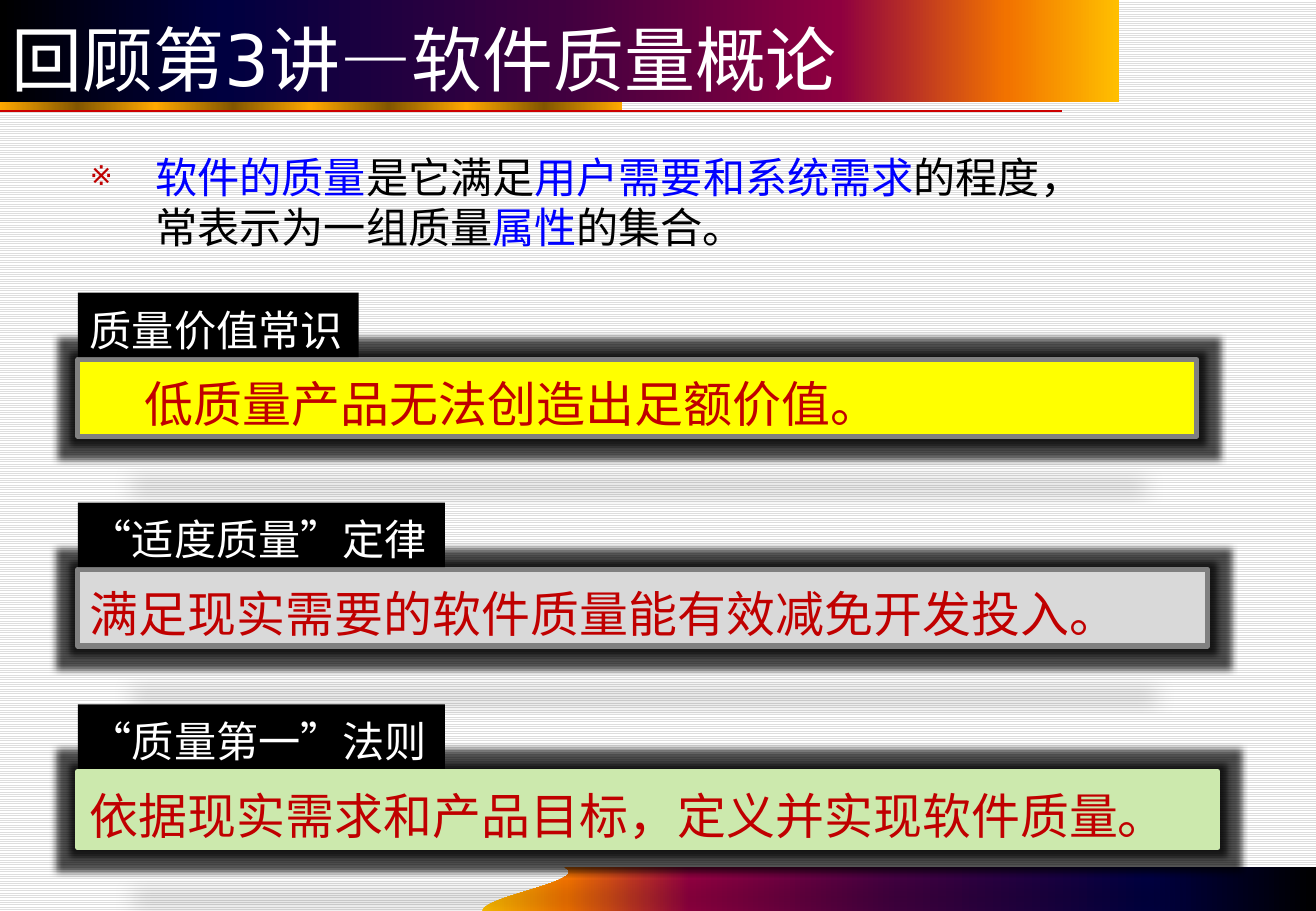
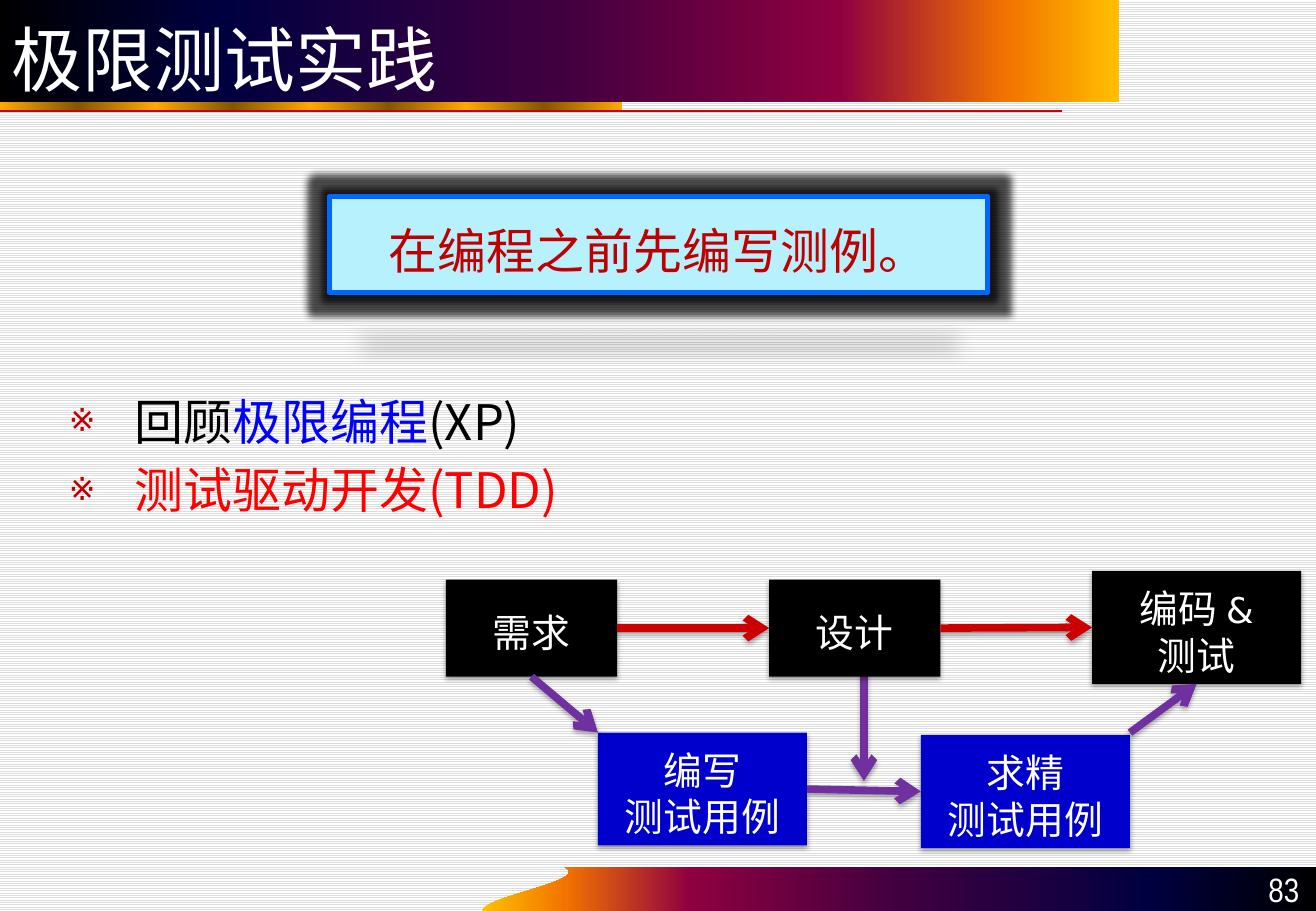
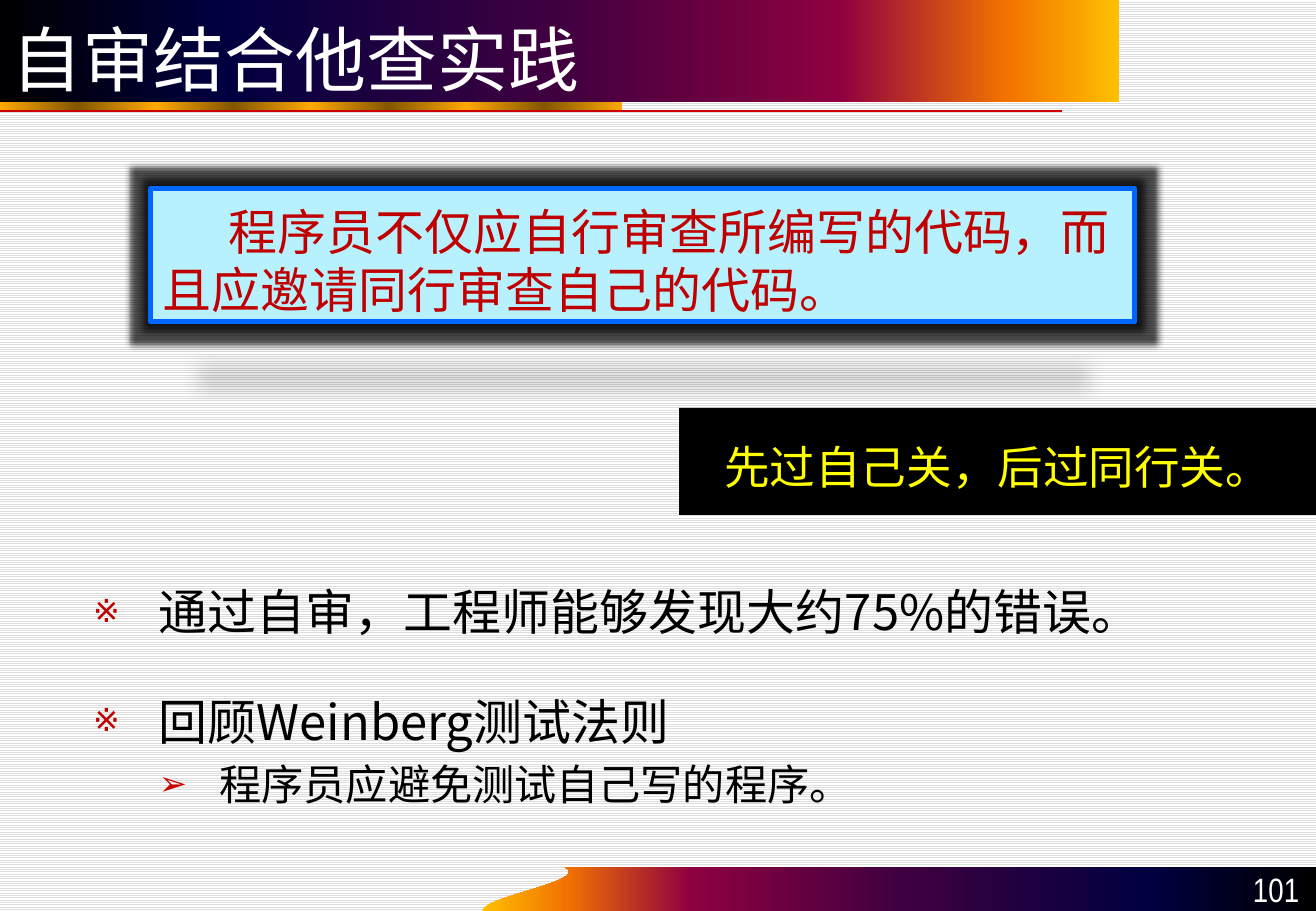
"""Build three lecture slides on software quality and testing practice."""
from pptx import Presentation
from pptx import util as u
from pptx.dml.color import RGBColor
from pptx.enum import dml, lang, shapes, text
from pptx.oxml import parse_xml
from pptx.oxml.ns import nsdecls, qn

Cm, Pt = u.Cm, u.Pt
COLOURS = {
    "black": "000000", "white": "FFFFFF", "blue": "0000FF", "red": "FF0000",
    "dark red": "C00000", "signal red": "CC0000", "yellow": "FFFF00",
    "grey": "808080", "light grey": "D9D9D9", "stripe": "DDDDDD",
    "green": "CCE9AD", "sky": "B8F1FE", "azure": "0067FE",
    "navy": "0000CC", "purple": "7030A0",
    "night": "000040", "plum": "400040", "wine": "8F0040",
    "orange": "F27300", "amber": "FFBF00", "gold": "FFA800", "bronze": "825600",
}
RGB = {name: RGBColor.from_string(value) for name, value in COLOURS.items()}
CJK, SANS, NARROW = "Noto Sans CJK SC", "DejaVu Sans", "Arial Narrow"
SUNSET = [(0, "black"), (20, "night"), (50, "plum"), (75, "wine"), (90, "orange"), (100, "amber")]
MIRRORED = [(100 - position, colour) for position, colour in reversed(SUNSET)]
GILT = [(12.5 * i, ("gold", "bronze")[i % 2]) for i in range(9)]
RAISED = (
    '<a:glow rad="101600"><a:srgbClr val="000000"><a:alpha val="70000"/></a:srgbClr></a:glow>'
    '<a:outerShdw blurRad="152400" dist="317500" dir="5400000" sx="90000" sy="-19000" rotWithShape="0">'
    '<a:srgbClr val="000000"><a:alpha val="15000"/></a:srgbClr></a:outerShdw>'
)
SOFT = (
    '<a:outerShdw blurRad="39400" dist="22900" dir="5400000" rotWithShape="0">'
    '<a:srgbClr val="000000"><a:alpha val="35000"/></a:srgbClr></a:outerShdw>'
)
RECT = shapes.MSO_SHAPE.RECTANGLE
STRAIGHT = shapes.MSO_CONNECTOR.STRAIGHT
MIDDLE, TOP, BOTTOM = text.MSO_ANCHOR.MIDDLE, text.MSO_ANCHOR.TOP, text.MSO_ANCHOR.BOTTOM
LEFT, CENTER, RIGHT = text.PP_ALIGN.LEFT, text.PP_ALIGN.CENTER, text.PP_ALIGN.RIGHT


def style(shape, fill=None, line=None, width=3, effects=""):
    if fill:
        shape.fill.solid()
        shape.fill.fore_color.rgb = RGB[fill]
    if line:
        shape.line.color.rgb = RGB[line]
        shape.line.width = Pt(width)
    else:
        shape.line.fill.background()
    shape.element.spPr.append(parse_xml(f"<a:effectLst {nsdecls('a')}>{effects}</a:effectLst>"))


def write(shape, runs, size, font=SANS, align=LEFT, anchor=MIDDLE, bullet=None,
          margin=0, indent=0, before=0):
    frame = shape.text_frame
    paragraph = frame.paragraphs[0]
    if paragraph.runs:
        paragraph = frame.add_paragraph()
        paragraph.space_before = Pt(before)
    else:
        frame.word_wrap = True
        frame.vertical_anchor = anchor
        frame.margin_top = Pt(3.6 + size * {MIDDLE: 0.2, TOP: 0.13, BOTTOM: 0}[anchor])
    properties = paragraph._p.get_or_add_pPr()
    properties.set("marL", str(Cm(margin)))
    properties.set("indent", str(Cm(indent)))
    paragraph.alignment = align
    paragraph.line_spacing = Pt(size * 1.2)
    if bullet:
        mark, colour, percent = bullet
        for xml in (f'<a:buClr {nsdecls("a")}><a:srgbClr val="{COLOURS[colour]}"/></a:buClr>',
                    f'<a:buSzPct {nsdecls("a")} val="{percent * 1000}"/>',
                    f'<a:buFont {nsdecls("a")} typeface="{SANS}"/>',
                    f'<a:buChar {nsdecls("a")} char="{mark}"/>'):
            properties.append(parse_xml(xml))
    for words, colour, *own in runs:
        run_size, run_font = own or (size, font)
        for i, line in enumerate(words.split("\n")):
            if i:
                paragraph.add_line_break()
            if line:
                run = paragraph.add_run()
                run.text = line
                run.font.size = Pt(run_size)
                run.font.name = run_font
                run.font.color.rgb = RGB[colour]
                run.font.language_id = lang.MSO_LANGUAGE_ID.SIMPLIFIED_CHINESE
                run._r.rPr.find(qn("a:latin")).addnext(
                    parse_xml(f'<a:ea {nsdecls("a")} typeface="{CJK}"/>'))


deck = Presentation()
deck.slide_width, deck.slide_height = Cm(27.51), Cm(19.05)
layout = deck.slide_layouts[6]
for placeholder in list(layout.placeholders):
    placeholder.element.getparent().remove(placeholder.element)
backdrop = layout.background.fill
backdrop.patterned()
backdrop.pattern = dml.MSO_PATTERN.LIGHT_HORIZONTAL
backdrop.fore_color.rgb = RGB["stripe"]
backdrop.back_color.rgb = RGB["white"]

pages = []
for heading, number in (("回顾第3讲—软件质量概论", None), ("极限测试实践", "83"), ("自审结合他查实践", "101")):
    page = deck.slides.add_slide(layout)
    pages.append(page)
    title = page.shapes.add_shape(RECT, 0, 0, Cm(23.39), Cm(2.13))
    write(title, [(heading, "white")], 42)
    banded = [(title, SUNSET)]
    if len(pages) == 1:
        wave = []
        for step in range(25):
            t = step / 24
            weights = ((1 - t) ** 3, 3 * t * (1 - t) ** 2, 3 * t * t * (1 - t), t ** 3)
            wave.append((Cm(sum(w * x for w, x in zip(weights, (10.08, 10.08, 12.37, 11.81)))),
                         Cm(sum(w * y for w, y in zip(weights, (19.05, 18.75, 18.42, 18.14))))))
        outline = page.shapes.build_freeform(Cm(27.51), Cm(18.14))
        outline.add_line_segments([(Cm(27.51), Cm(19.05))] + wave)
        footer = outline.convert_to_shape()
        strip = page.shapes.add_shape(RECT, 0, Cm(1.93), Cm(13), Cm(0.38))
        rule = page.shapes.add_connector(STRAIGHT, 0, Cm(2.32), Cm(22.2), Cm(2.32))
        style(rule, line="signal red", width=0.75)
        banded += [(footer, MIRRORED), (strip, GILT)]
    for band, stops in banded:
        band.fill.gradient()
        band.fill.gradient_angle = 0
        stop_list = band.element.spPr.find(".//" + qn("a:gsLst"))
        for stop in list(stop_list):
            stop_list.remove(stop)
        for position, colour in stops:
            stop_list.append(parse_xml(
                f'<a:gs {nsdecls("a")} pos="{int(position * 1000)}">'
                f'<a:srgbClr val="{COLOURS[colour]}"/></a:gs>'))
        style(band)
    if len(pages) == 1:
        for shared in (footer, strip, rule):
            layout.shapes.element.append(shared.element)
    if number:
        page_number = page.shapes.add_textbox(Cm(24.97), Cm(18.11), Cm(2.44), Cm(1.02))
        write(page_number, [(number, "white")], 20, NARROW, RIGHT, BOTTOM)

review, extreme, inspection = pages
POINT = {"font": CJK, "anchor": TOP, "bullet": ("※", "dark red", 65), "margin": 1.37, "indent": -1.37}

definition = review.shapes.add_textbox(Cm(1.63), Cm(2.92), Cm(24.08), Cm(2.21))
write(definition, [("软件的质量", "blue"), ("是它满足", "black"), ("用户需要和系统需求", "blue"),
                   ("的程度，\n常表示为一组质量", "black"), ("属性", "blue"), ("的集合。", "black")],
      25, **POINT)

for top, label_width, label, width, fill, edge, indent, statement in (
    (7.52, 5.87, "质量价值常识", 23.39, "yellow", "grey", 1.15, "低质量产品无法创造出足额价值。"),
    (11.91, 7.67, "“适度质量”定律", 23.62, "light grey", "grey", 0, "满足现实需要的软件质量能有效减免开发投入。"),
    (16.13, 7.67, "“质量第一”法则", 23.83, "green", "green", 0, "依据现实需求和产品目标，定义并实现软件质量。"),
):
    law = review.shapes.add_shape(RECT, Cm(1.63), Cm(top), Cm(width), Cm(1.6))
    style(law, fill, edge, effects=RAISED)
    write(law, [(statement, "dark red")], 29, indent=indent)
    law_name = review.shapes.add_shape(RECT, Cm(1.63), Cm(top - 1.4), Cm(label_width), Cm(1.35))
    style(law_name, "black")
    write(law_name, [(label, "white")], 25)

for page, left, top, width, height, align, indent, statement in (
    (extreme, 6.88, 4.11, 13.77, 2.01, CENTER, 0, "在编程之前先编写测例。"),
    (inspection, 3.15, 3.94, 20.57, 2.79, LEFT, 1.38, "程序员不仅应自行审查所编写的代码，而且应邀请同行审查自己的代码。"),
):
    practice = page.shapes.add_shape(RECT, Cm(left), Cm(top), Cm(width), Cm(height))
    style(practice, "sky", "azure", effects=RAISED)
    write(practice, [(statement, "dark red")], 29, align=align, indent=indent)

topics = extreme.shapes.add_textbox(Cm(1.19), Cm(7.92), Cm(12.7), Cm(3.2))
write(topics, [("回顾", "black"), ("极限编程", "blue"), ("(XP)", "black")], 29, **POINT)
write(topics, [("测试驱动开发(TDD)", "red")], 29, before=6, **POINT)

design_to_cases = extreme.shapes.add_connector(STRAIGHT, Cm(18.06), Cm(13.64), Cm(18.06), Cm(16.33))
steps = {}
for step, left, top, width, height, fill, runs in (
    ("requirements", 9.32, 12.12, 3.58, 2.03, "black", [("需求", "white")]),
    ("design", 16.08, 12.12, 3.58, 2.03, "black", [("设计", "white")]),
    ("coding", 22.83, 11.94, 4.37, 2.36, "black",
     [("编码 ", "white"), ("&\n", "white", 21, SANS), ("测试", "white")]),
    ("write cases", 12.5, 15.32, 4.37, 2.36, "navy", [("编写\n测试用例", "white")]),
    ("refine cases", 19.25, 15.37, 4.37, 2.36, "navy", [("求精\n测试用例", "white")]),
):
    steps[step] = extreme.shapes.add_shape(RECT, Cm(left), Cm(top), Cm(width), Cm(height))
    style(steps[step], fill, effects=SOFT)
    write(steps[step], runs, 23, CJK, CENTER)

arrows = [(design_to_cases, "purple")]
for source, source_side, target, target_side, colour in (
    ("requirements", 3, "design", 1, "signal red"),
    ("design", 3, "coding", 1, "signal red"),
    ("write cases", 3, "refine cases", 1, "purple"),
    ("requirements", 2, (12.5, 15.32), None, "purple"),
    ((23.62, 15.32), None, "coding", 2, "purple"),
):
    start = (0, 0) if source in steps else source
    end = (0, 0) if target in steps else target
    arrow = extreme.shapes.add_connector(STRAIGHT, *map(Cm, start + end))
    if source in steps:
        arrow.begin_connect(steps[source], source_side)
    if target in steps:
        arrow.end_connect(steps[target], target_side)
    arrows.append((arrow, colour))
for arrow, colour in arrows:
    style(arrow, line=colour, width=4.5, effects=SOFT)
    arrow.line._get_or_add_ln().append(parse_xml(f'<a:tailEnd {nsdecls("a")} type="arrow"/>'))

motto = inspection.shapes.add_shape(RECT, Cm(14.2), Cm(8.53), Cm(13.31), Cm(2.24))
style(motto, "black")
write(motto, [("先过自己关，后过同行关。", "yellow")], 27, align=CENTER)

findings = inspection.shapes.add_textbox(Cm(1.7), Cm(11.91), Cm(24.08), Cm(5.79))
write(findings, [("通过自审，工程师能够发现大约75%的错误。", "black")], 29, **POINT)
write(findings, [("回顾Weinberg测试法则", "black")], 29, before=30, **POINT)
write(findings, [("程序员应避免测试自己写的程序。", "black")], 25, CJK, anchor=TOP,
      bullet=("➢", "signal red", 80), margin=2.64, indent=-1.27, before=5)

deck.save("out.pptx")
